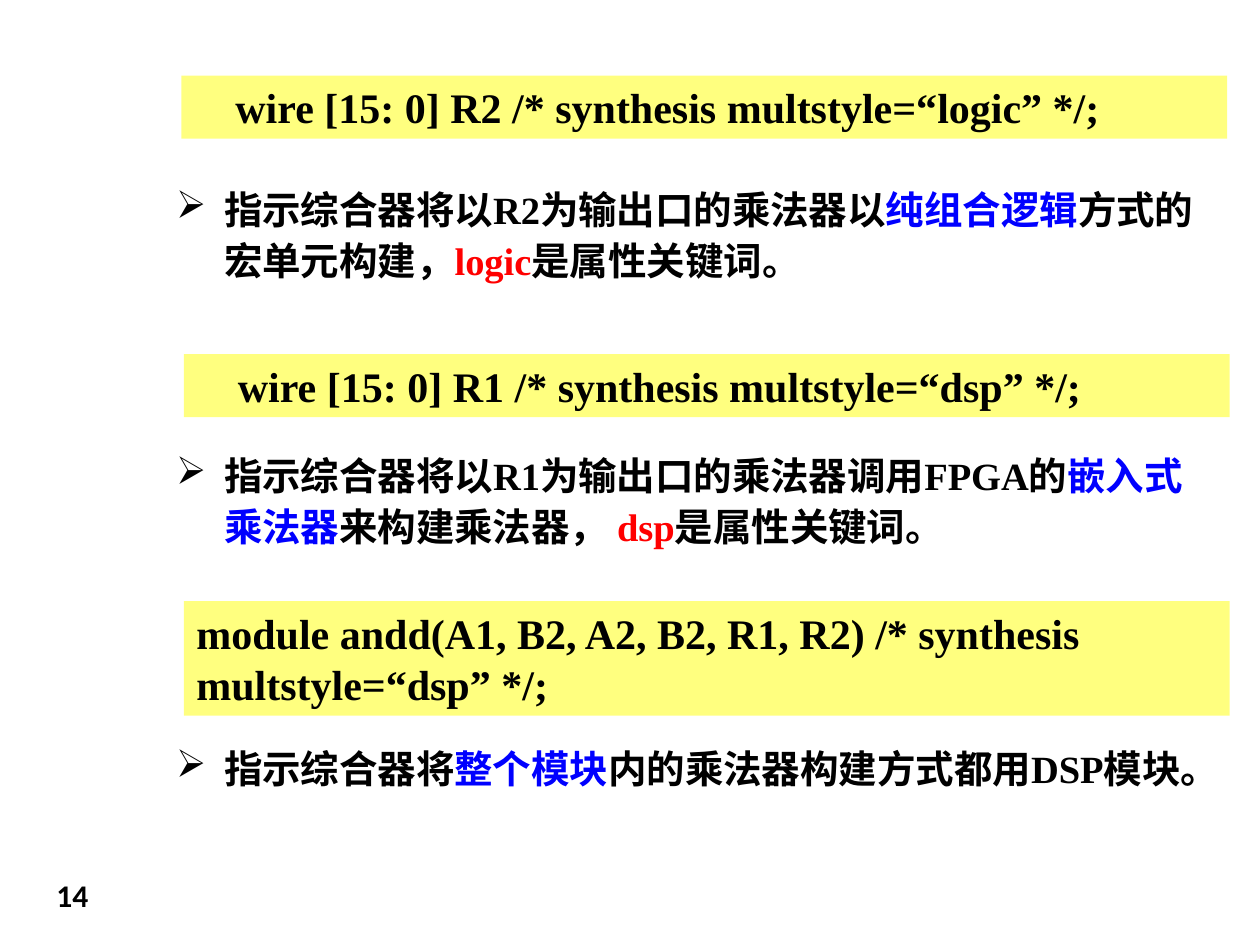
from dataclasses import dataclass

from lxml.etree import SubElement
from pptx import Presentation
from pptx.dml.color import RGBColor
from pptx.enum.shapes import MSO_SHAPE
from pptx.enum.text import MSO_ANCHOR, MSO_AUTO_SIZE, PP_ALIGN
from pptx.oxml.ns import qn
from pptx.util import Inches, Pt


@dataclass(frozen=True)
class Theme:
    ink: str = "000000"
    term: str = "0000FF"
    keyword: str = "FF0000"
    panel: str = "FFFF00"
    panel_alpha: int = 50
    body_font: str = "Times New Roman"
    number_font: str = "Calibri"
    code_size: int = 24
    note_size: int = 22
    number_size: int = 18


THEME = Theme()
WIDTH, HEIGHT = Inches(10), Inches(7.5)


def add_span(para, text, *, size, font=THEME.body_font, color=THEME.ink):
    span = para.add_run()
    span.text = text
    span.font.name = font
    span.font.size = Pt(size)
    span.font.bold = True
    span.font.color.rgb = RGBColor.from_string(color)


def set_indent(para, left, first=0):
    properties = para._p.get_or_add_pPr()
    properties.set("marL", str(Inches(left)))
    properties.set("indent", str(Inches(first)))


def add_bullet(para, symbol, color):
    properties = para._p.get_or_add_pPr()
    bullet_color = SubElement(properties, qn("a:buClr"))
    SubElement(bullet_color, qn("a:srgbClr"), val=color)
    SubElement(properties, qn("a:buChar"), char=symbol)


class SlideBuilder:
    """Places elements on one page; lengths are percentages of its size."""

    def __init__(self, page, theme):
        self.page = page
        self.theme = theme

    def frame(self, left, top, width, height):
        return (round(WIDTH * left / 100), round(HEIGHT * top / 100),
                round(WIDTH * width / 100), round(HEIGHT * height / 100))

    def text_box(self, *area):
        box = self.page.shapes.add_textbox(*self.frame(*area))
        box.text_frame.word_wrap = True
        return box.text_frame

    def code_panel(self, code, left, top, height, indent):
        panel = self.page.shapes.add_shape(
            MSO_SHAPE.RECTANGLE, *self.frame(left, top, 83, height))
        panel.shadow.inherit = False
        panel.line.fill.background()
        panel.fill.solid()
        panel.fill.fore_color.rgb = RGBColor.from_string(self.theme.panel)
        color = panel.fill._xPr.find(".//" + qn("a:srgbClr"))
        SubElement(color, qn("a:alpha"), val=str(self.theme.panel_alpha * 1000))

        content = panel.text_frame
        content.word_wrap = True
        content.auto_size = MSO_AUTO_SIZE.SHAPE_TO_FIT_TEXT
        content.vertical_anchor = MSO_ANCHOR.MIDDLE
        para = content.paragraphs[0]
        para.alignment = PP_ALIGN.LEFT
        para.space_after = Pt(12)
        set_indent(para, indent)
        add_span(para, code, size=self.theme.code_size)

    def bullet_note(self, spans, top, height):
        content = self.text_box(13, top, 84.4, height)
        content.auto_size = MSO_AUTO_SIZE.SHAPE_TO_FIT_TEXT
        para = content.paragraphs[0]
        para.line_spacing = 1.1
        para.space_after = Pt(6)
        set_indent(para, 0.38, -0.38)
        add_bullet(para, "➢", self.theme.ink)
        for text, color in spans:
            add_span(para, text, size=self.theme.note_size, color=color)

    def page_number(self, number):
        para = self.text_box(3.5, 92, 6.3, 6).paragraphs[0]
        add_span(para, number, size=self.theme.number_size,
                 font=self.theme.number_font)


# code, (left, top, height, indent in inches)
CODE_PANELS = [
    ("wire [15: 0] R2 /* synthesis multstyle=“logic” */;",
     (14.4, 8, 6.67, 0.33)),
    ("wire [15: 0] R1 /* synthesis multstyle=“dsp” */;",
     (14.6, 37.47, 6.67, 0.33)),
    ("module andd(A1, B2, A2, B2, R1, R2) /* synthesis multstyle=“dsp” */;",
     (14.6, 63.6, 12.13, 0)),
]

# coloured spans, (top, height)
NOTES = [
    ([("指示综合器将以R2为输出口的乘法器以", THEME.ink),
      ("纯组合逻辑", THEME.term),
      ("方式的宏单元构建，", THEME.ink),
      ("logic", THEME.keyword),
      ("是属性关键词。", THEME.ink)], (18.53, 11.73)),
    ([("指示综合器将以R1为输出口的乘法器调用FPGA的", THEME.ink),
      ("嵌入式乘法器", THEME.term),
      ("来构建乘法器， ", THEME.ink),
      ("dsp", THEME.keyword),
      ("是属性关键词。", THEME.ink)], (46.67, 12.27)),
    ([("指示综合器将", THEME.ink),
      ("整个模块", THEME.term),
      ("内的乘法器构建方式都用DSP模块。", THEME.ink)], (77.73, 6.8)),
]


def main():
    deck = Presentation()
    deck.slide_width, deck.slide_height = WIDTH, HEIGHT
    page = deck.slides.add_slide(deck.slide_layouts[6])
    builder = SlideBuilder(page, THEME)
    for (code, panel_area), (spans, note_area) in zip(CODE_PANELS, NOTES):
        builder.code_panel(code, *panel_area)
        builder.bullet_note(spans, *note_area)
    builder.page_number("14")
    deck.save("out.pptx")


if __name__ == "__main__":
    main()
